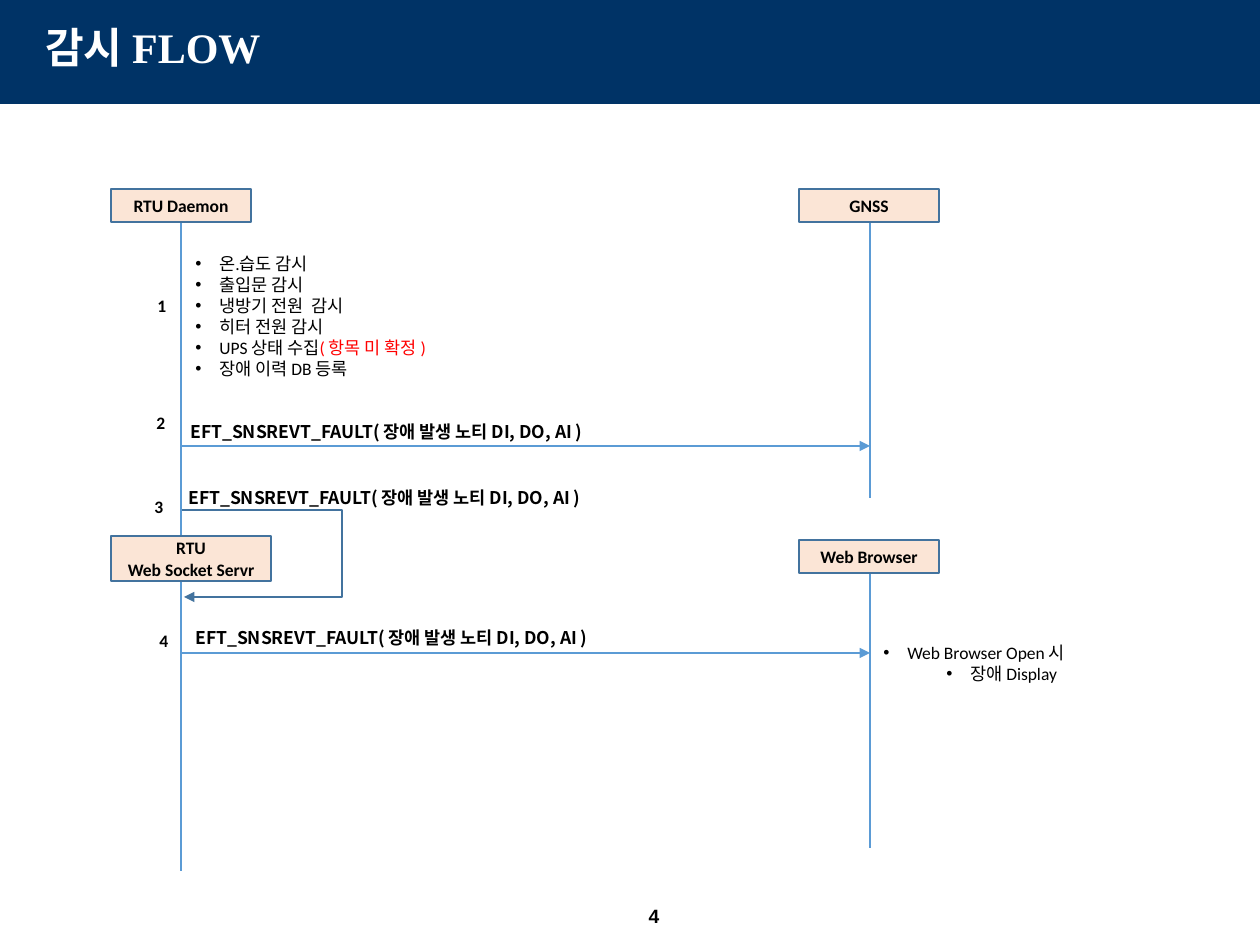
from lxml import etree
from pptx import Presentation
from pptx import util as u
from pptx.dml.color import RGBColor
from pptx.enum import shapes, text
from pptx.oxml.ns import qn

NAVY = RGBColor(0x00, 0x33, 0x66)
PEACH = RGBColor(0xFB, 0xE5, 0xD6)
STEEL = RGBColor(0x43, 0x73, 0x9E)
BLUE = RGBColor(0x5B, 0x9B, 0xD5)
RED = RGBColor(0xFF, 0x00, 0x00)
BLACK = RGBColor(0x00, 0x00, 0x00)
WHITE = RGBColor(0xFF, 0xFF, 0xFF)
SCALE = 914400 / 126
LATIN, HANGUL = "Calibri", "Noto Sans CJK KR"


def px(n):
    return u.Emu(round(n * SCALE))


class Flow:
    def __init__(self, deck):
        self.slide = deck.slides.add_slide(deck.slide_layouts[6])
        self.items = self.slide.shapes

    def style(self, para, size=10, face=LATIN, color=BLACK, bold=True):
        font = para.font
        font.size, font.name, font.bold = u.Pt(size), face, bold
        font.color.rgb = color
        for run in para.runs:
            ea = etree.SubElement(run._r.get_or_add_rPr(), qn("a:ea"))
            ea.set("typeface", HANGUL)

    def rect(self, x, y, w, h, fill, edge=None):
        box = self.items.add_shape(shapes.MSO_SHAPE.RECTANGLE, *map(px, (x, y, w, h)))
        box.shadow.inherit = False
        box.fill.solid()
        box.fill.fore_color.rgb = fill
        if edge is None:
            box.line.fill.background()
        else:
            box.line.color.rgb, box.line.width = edge, u.Pt(1)
        return box

    def node(self, x, y, w, h, *rows):
        frame = self.rect(x, y, w, h, PEACH, STEEL).text_frame
        frame.vertical_anchor = text.MSO_ANCHOR.MIDDLE
        frame.margin_top = frame.margin_bottom = 0
        for i, row in enumerate(rows):
            para = frame.paragraphs[0] if i == 0 else frame.add_paragraph()
            para.text, para.alignment = row, text.PP_ALIGN.CENTER
            self.style(para)

    def arrow(self, line):
        tip = etree.SubElement(line.get_or_change_to_solidFill().getparent()
                               if hasattr(line, "get_or_change_to_solidFill") else line,
                               qn("a:tailEnd"))
        tip.set("type", "triangle")

    def line(self, x1, y1, x2, y2, arrow=False):
        link = self.items.add_connector(shapes.MSO_CONNECTOR.STRAIGHT,
                                        *map(px, (x1, y1, x2, y2)))
        link.line.color.rgb, link.line.width = BLUE, u.Pt(1.5)
        if arrow:
            self.tip(link)
        etree.SubElement(link._element.spPr, qn("a:effectLst"))

    def tip(self, shape):
        end = etree.SubElement(shape.line._get_or_add_ln(), qn("a:tailEnd"))
        end.set("type", "triangle")

    def bend(self, start, *points):
        pen = self.items.build_freeform(*start, scale=SCALE)
        pen.add_line_segments(points, close=False)
        path = pen.convert_to_shape()
        path.shadow.inherit = False
        path.fill.background()
        path.line.color.rgb, path.line.width = STEEL, u.Pt(1.5)
        self.tip(path)

    def label(self, x, y, w, h, words, wrap=False, **look):
        frame = self.items.add_textbox(*map(px, (x, y, w, h))).text_frame
        frame.word_wrap = wrap
        para = frame.paragraphs[0]
        para.text = words
        self.style(para, **look)
        return frame

    def bullets(self, x, y, w, h, rows):
        frame = self.items.add_textbox(*map(px, (x, y, w, h))).text_frame
        frame.word_wrap = True
        for i, (level, *parts) in enumerate(rows):
            para = frame.paragraphs[0] if i == 0 else frame.add_paragraph()
            para.level = level
            for words, color in zip(parts, (BLACK, RED)):
                run = para.add_run()
                run.text, run.font.color.rgb = words, color
            self.style(para, bold=False)
            props = para._p.get_or_add_pPr()
            props.set("marL", str(px(24 + 63 * level)))
            props.set("indent", str(-px(24)))
            mark = etree.Element(qn("a:buChar"), char="•")
            props.insert(0, mark)
            face = etree.Element(qn("a:buFont"), typeface="Arial")
            props.insert(0, face)


def main():
    deck = Presentation()
    deck.slide_width, deck.slide_height = px(1260), px(945)
    flow = Flow(deck)

    # Header and page number
    flow.rect(0, 0, 1260, 104, NAVY)
    title = flow.label(33, 15, 1134, 69, "감시 FLOW", wrap=True, size=24,
                       face="Times New Roman", color=WHITE)
    title.paragraphs[0].line_spacing = 0.9
    page = flow.label(612, 896, 84, 39, "4", size=11, face="Arial")
    page.paragraphs[0].alignment = text.PP_ALIGN.CENTER
    for frame in (title, page):
        frame.vertical_anchor = text.MSO_ANCHOR.MIDDLE

    # Lifelines and their heads
    left, right = 181, 870
    for x, top, end in ((left, 222, 871), (right, 222, 498), (right, 572, 848)):
        flow.line(x, top, x, end)
    for x, y, name in ((111, 189, "RTU Daemon"), (799, 189, "GNSS"),
                       (799, 540, "Web Browser")):
        flow.node(x, y, 140, 33, name)
    flow.node(111, 536, 160, 45, "RTU", "Web Socket Servr")

    # Messages
    for y in (446, 653):
        flow.line(left, y, right, y, arrow=True)
    flow.bend((182, 510), (342, 510), (342, 597), (184, 597))
    for x, y in ((178, 415), (176, 481), (183, 621)):
        flow.label(x, y, 433, 34, "EFT_SNSREVT_FAULT( 장애 발생 노티 DI, DO, AI )",
                   face=HANGUL)

    # Step numbers
    for step, (x, y) in enumerate(((145, 289), (144, 406), (142, 490), (147, 624)), 1):
        flow.label(x, y, 34, 34, str(step))

    # Notes
    flow.bullets(183, 247, 271, 140, (
        (0, "온.습도 감시"), (0, "출입문 감시"), (0, "냉방기 전원  감시"),
        (0, "히터 전원 감시"), (0, "UPS 상태 수집", "( 항목 미 확정 )"),
        (0, "장애 이력 DB 등록")))
    flow.bullets(871, 636, 291, 55, ((0, "Web Browser Open 시"), (1, "장애 Display")))

    deck.save("out.pptx")


if __name__ == "__main__":
    main()
